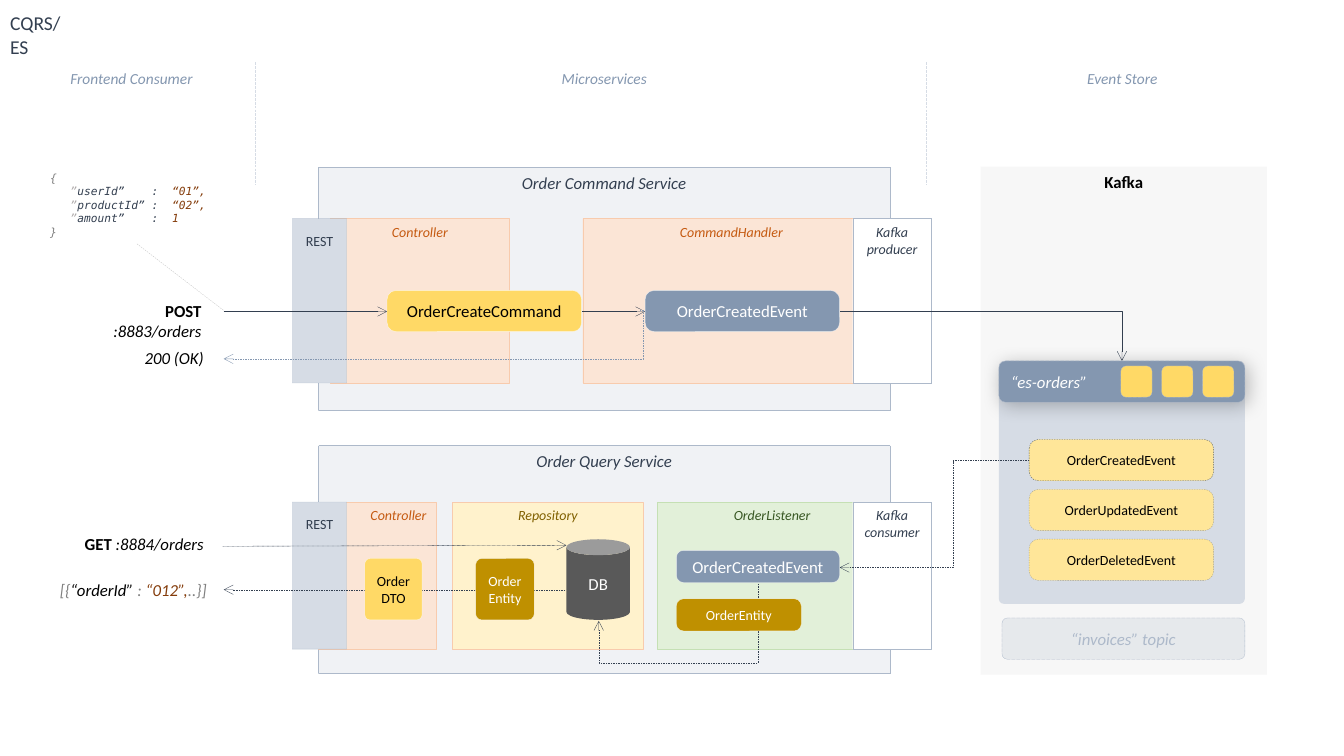
from dataclasses import dataclass
from typing import Any, Optional

from lxml import etree
from pptx import Presentation
from pptx import util as u
from pptx.dml import color as dml_color
from pptx.enum import dml, shapes, text
from pptx.oxml import ns

Pt = u.Pt
KIND, DASH = shapes.MSO_SHAPE, dml.MSO_LINE
LEFT, CENTER, RIGHT = text.PP_ALIGN.LEFT, text.PP_ALIGN.CENTER, text.PP_ALIGN.RIGHT
TOP, MIDDLE = text.MSO_ANCHOR.TOP, text.MSO_ANCHOR.MIDDLE

BLACK, WHITE, NAVY, SLATE, MIST, PALE = "000000", "FFFFFF", "333F50", "8497B0", "ADB9CA", "D6DCE5"
PEACH, SALMON, RUST, BROWN, GRAY = "FBE5D6", "F8CBAD", "C55A11", "843C0B", "808080"
YELLOW, CREAM, GOLD, SILVER = "FFD966", "FFE699", "BF9000", "AFABAB"


@dataclass
class Span:
    words: str
    color: str = BLACK
    size: float = 12
    italic: bool = False
    bold: bool = False
    font: str = "Calibri"


@dataclass
class Stroke:
    color: str
    dash: Any = None
    alpha: int = 100


Lines = list[list[Span]]
DOTTED, SOFT = Stroke(MIST, DASH.ROUND_DOT), Stroke(WHITE, DASH.SOLID, 78)


@dataclass
class Panel:
    place: tuple[float, float, float, float]
    fill: str
    stroke: Optional[Stroke] = None
    lines: Optional[Lines] = None
    kind: Any = KIND.RECTANGLE
    corner: Optional[float] = None
    alpha: int = 100
    anchor: Any = TOP
    align: Any = CENTER
    spacing: float = 1.0
    inset: float = 7.2
    shadow: bool = False


@dataclass
class Link:
    start: tuple[float, float]
    end: tuple[float, float]
    stroke: Stroke
    arrow: bool = True
    bend: Optional[str] = None
    adjust: Optional[int] = None
    turned: bool = False


@dataclass
class Label:
    place: tuple[float, float, float, float]
    lines: Lines
    align: Any = LEFT
    wrap: bool = True


def rgb(color: str) -> dml_color.RGBColor:
    return dml_color.RGBColor.from_string(color)


def apply(target: Any, **values: Any) -> None:
    for name, value in values.items():
        setattr(target, name, value)


def add(parent: Any, tag: str, **attributes: Any) -> Any:
    return etree.SubElement(parent, ns.qn(tag), {key: str(value) for key, value in attributes.items()})


def fade(properties: Any, where: str, alpha: int) -> None:
    """Make the colour found at the given XML location partly transparent."""
    if alpha < 100:
        add(properties.find("/".join(map(ns.qn, where.split("/")))), "a:alpha", val=alpha * 1000)


def draw_stroke(shape: Any, stroke: Stroke) -> None:
    shape.line.color.rgb = rgb(stroke.color)
    shape.line.width = Pt(0.25)
    if stroke.dash:
        shape.line.dash_style = stroke.dash
    fade(shape._element.spPr, "a:ln/a:solidFill/a:srgbClr", stroke.alpha)


def write(shape: Any, lines: Lines, align: Any, anchor: Any = TOP, wrap: bool = True,
          inset: float = 7.2, spacing: float = 1.0) -> None:
    frame = shape.text_frame
    apply(frame, word_wrap=wrap, vertical_anchor=anchor, margin_left=Pt(inset), margin_right=Pt(inset),
          margin_top=Pt(3.6), margin_bottom=Pt(3.6))
    for index, spans in enumerate(lines):
        para = frame.add_paragraph() if index else frame.paragraphs[0]
        apply(para, alignment=align, line_spacing=spacing)
        for span in spans:
            run = para.add_run()
            run.text = span.words
            apply(run.font, name=span.font, size=Pt(span.size), italic=span.italic, bold=span.bold)
            run.font.color.rgb = rgb(span.color)


def draw_panel(page: Any, panel: Panel) -> None:
    shape = page.shapes.add_shape(panel.kind, *map(Pt, panel.place))
    shape.shadow.inherit = False
    if panel.corner is not None:
        shape.adjustments[0] = panel.corner
    shape.fill.solid()
    shape.fill.fore_color.rgb = rgb(panel.fill)
    properties = shape._element.spPr
    fade(properties, "a:solidFill/a:srgbClr", panel.alpha)
    if panel.stroke:
        draw_stroke(shape, panel.stroke)
    else:
        shape.line.fill.background()
    if panel.shadow:
        outer = add(properties.find(ns.qn("a:effectLst")), "a:outerShdw", blurRad=Pt(14), dist=Pt(3),
                    dir=45 * 60000, rotWithShape=0)
        add(add(outer, "a:srgbClr", val=BLACK), "a:alpha", val=25000)
    if panel.lines:
        write(shape, panel.lines, panel.align, panel.anchor, True, panel.inset, panel.spacing)


def draw_link(page: Any, link: Link) -> None:
    """Draw a connector; a turned one leaves and arrives vertically."""
    (x1, y1), (x2, y2) = link.start, link.end
    if link.turned:
        cx, cy, dx, dy = (x1 + x2) / 2, (y1 + y2) / 2, abs(y2 - y1) / 2, abs(x2 - x1) / 2
        x1, y1, x2, y2 = cx - dx, cy - dy, cx + dx, cy + dy
    kind = shapes.MSO_CONNECTOR.ELBOW if link.bend else shapes.MSO_CONNECTOR.STRAIGHT
    line = page.shapes.add_connector(kind, *map(Pt, (x1, y1, x2, y2)))
    draw_stroke(line, link.stroke)
    properties = line._element.spPr
    if link.turned:
        properties.find(ns.qn("a:xfrm")).set("rot", str(90 * 60000))
    if link.bend:
        geometry = properties.find(ns.qn("a:prstGeom"))
        geometry.set("prst", link.bend)
        if link.adjust is not None:
            add(geometry.find(ns.qn("a:avLst")), "a:gd", name="adj1", fmla=f"val {link.adjust}")
    if link.arrow:
        add(properties.find(ns.qn("a:ln")), "a:tailEnd", type="arrow")
    add(properties, "a:effectLst")


def draw_label(page: Any, label: Label) -> None:
    box = page.shapes.add_textbox(*map(Pt, label.place))
    write(box, label.lines, label.align, wrap=label.wrap)
    box.text_frame.auto_size = text.MSO_AUTO_SIZE.SHAPE_TO_FIT_TEXT


def plain(words: str, color: str, size: float = 10, italic: bool = False, bold: bool = False) -> Lines:
    return [[Span(line, color, size, italic, bold)] for line in words.split("\n")]


def area(place: tuple, fill: str, edge: str, name: str, color: str, align: Any = CENTER) -> Panel:
    return Panel(place, fill, Stroke(edge), plain(name, color, italic=True), align=align)


def chip(place: tuple, fill: str, name: str, color: str, size: float = 10, corner: float = 0.221,
         stroke: Stroke = SOFT, inset: float = 7.2) -> Panel:
    return Panel(place, fill, stroke, plain(name, color, size), KIND.ROUNDED_RECTANGLE, corner,
                 anchor=MIDDLE, inset=inset)


def code(*parts: tuple[str, str]) -> list[Span]:
    return [Span(words, color, 8, True, font="DejaVu Sans Mono") for words, color in parts]


UPPER, LOWER = (156.2, 117.4), (358.6, 105.1)
panels = [Panel((700.5, 119, 204.5, 363), "EDEDED", None, plain("Kafka", BLACK, 12, bold=True), alpha=43)]
for name, top, height in (("Query", 318.2, 162.7), ("Command", 119.5, 173.5)):
    panels.append(Panel((227.5, top, 408.2, height), PALE, DOTTED,
                        plain(f"Order {name} Service", NAVY, 12, True), alpha=35))
panels += [
    Panel((713.5, 257.8, 175.7, 173.5), PALE, kind=KIND.ROUNDED_RECTANGLE, corner=0.021),
    area((323.3, LOWER[0], 136.1, LOWER[1]), "FFF2CC", SALMON, "Repository", "806000"),
    area((416.2, UPPER[0], 212.4, UPPER[1]), PEACH, SALMON, "CommandHandler", RUST),
    area((236.2, UPPER[0], 127.4, UPPER[1]), PEACH, SALMON, "Controller", RUST),
    area((227.5, LOWER[0], 84.2, LOWER[1]), PEACH, SALMON, "Controller", RUST, RIGHT),
    area((469.4, LOWER[0], 164.2, LOWER[1]), "E2F0D9", "C5E0B4", "OrderListener", "385723"),
]
for (top, height), role in ((UPPER, "producer"), (LOWER, "consumer")):
    panels += [
        Panel((208.8, top, 38.9, height), PALE, Stroke(SLATE, DASH.SOLID, 42), plain("REST", NAVY),
              spacing=1.5, inset=5.8),
        Panel((609.1, top, 56.2, height), WHITE, DOTTED, plain(f"Kafka\n{role}", NAVY, italic=True)),
    ]

FLOW, REPLY = Stroke(NAVY, DASH.ROUND_DOT), Stroke(NAVY, DASH.DASH)
links = [
    Link((97.9, 174.2), (159.8, 221.8), Stroke(GRAY, DASH.DASH, 45), arrow=False),
    Link((159.8, 222.5), (276.5, 222.5), FLOW),
    Link((415.4, 222.5), (460.8, 222.5), FLOW),
    Link((599.8, 222.5), (801.4, 257.8), FLOW, bend="bentConnector2"),
    Link((159.1, 390.2), (404.6, 389.5), FLOW),
    Link((403.9, 421.2), (159.8, 421.2), REPLY),
    Link((457.2, 221.8), (159.8, 256.3), Stroke(SLATE, DASH.DASH), bend="bentConnector3", adjust=-700),
    Link((735.1, 329), (599.8, 405.4), REPLY, bend="bentConnector3", adjust=40100),
    Link((541.4, 416.9), (427.7, 443.5), REPLY, bend="bentConnector3", adjust=212600, turned=True),
]
links += [Link((x, 44.6), (x, 131.8), Stroke(PALE, DASH.LONG_DASH), arrow=False) for x in (182.2, 661.7)]

boxes = [
    Panel((404.6, 385.2, 45.4, 57.6), "595959", None, plain("DB", WHITE, 12), KIND.CAN, anchor=MIDDLE),
    chip((276.5, 207.4, 139, 29.5), YELLOW, "OrderCreateCommand", BLACK, 12),
    chip((460.8, 207.4, 139, 29.5), SLATE, "OrderCreatedEvent", WHITE, 12),
    chip((260.6, 398.9, 41, 43.9), YELLOW, "Order\nDTO", BLACK, corner=0.093, inset=2.9),
    chip((483.1, 393.1, 116.6, 23), SLATE, "OrderCreatedEvent", WHITE, 12),
    chip((483.1, 427.7, 89.3, 23), GOLD, "OrderEntity", WHITE),
    chip((339.8, 398.9, 41.8, 43.9), GOLD, "Order\nEntity", WHITE, corner=0.105),
    Panel((715.7, 441.4, 173.5, 29.5), SLATE, DOTTED, plain("“invoices” topic", MIST, 12, True),
          KIND.ROUNDED_RECTANGLE, 0.134, alpha=14, anchor=MIDDLE),
    Panel((713.5, 257.8, 175.7, 29.5), SLATE, DOTTED, plain("“es-orders”", WHITE, 12, True),
          KIND.ROUNDED_RECTANGLE, anchor=MIDDLE, align=LEFT, shadow=True),
]
for row, (event, alpha) in enumerate((("Created", 78), ("Updated", 38), ("Deleted", 38))):
    boxes.append(chip((735.1, 313.9 + 35.6 * row, 131.8, 29.5), CREAM, f"Order{event}Event", BLACK,
                      stroke=Stroke(NAVY, DASH.DASH, alpha)))
    boxes.append(Panel((800.6 + 29.2 * row, 261.4, 22.3, 22.3), YELLOW, DOTTED, kind=KIND.ROUNDED_RECTANGLE))

fields = (("userId”    :  ", "“01”,"), ("productId” :  ", "“02”,"), ("amount”    :  ", "1"))
body = [code(("   ”", SILVER), (key, NAVY), (value, BROWN)) for key, value in fields]
answer = (("[{", GRAY), ("“orderId” ", BLACK), (": ", GRAY), ("“012”,", BROWN), ("..}]", GRAY))
labels = [
    Label((50, 211, 101, 21.6), [[Span("POST", bold=True), Span(" :8883/orders", italic=True)]], RIGHT),
    Label((95.8, 244.8, 56.9, 21.6), plain("200 (OK)", BLACK, 12, True), RIGHT, False),
    Label((53.3, 378, 99.4, 21.6), [[Span("GET", bold=True), Span(" :8884/orders", italic=True)]], RIGHT, False),
    Label((15.8, 410.4, 139, 21.6), [[Span(words, color, italic=True) for words, color in answer]], RIGHT),
    Label((28.8, 118.8, 139, 55.4), [code(("{", GRAY)), *body, code(("}", GRAY))]),
]
for left, heading in ((20.9, "Frontend Consumer"), (358.6, "Microservices"), (728.6, "Event Store")):
    labels.append(Label((left, 46.1, 146.2, 20.9), plain(heading, SLATE, 11, True), CENTER))


def main() -> None:
    deck = Presentation()
    apply(deck, slide_width=Pt(960), slide_height=Pt(540))
    page = deck.slides.add_slide(deck.slide_layouts[5])
    title = page.shapes.title
    apply(title, left=Pt(0), top=Pt(4.3), width=Pt(63.4), height=Pt(24.5))
    write(title, plain("CQRS/ES", NAVY, 14), LEFT, wrap=False)
    title.text_frame.auto_size = text.MSO_AUTO_SIZE.SHAPE_TO_FIT_TEXT
    for draw, items in ((draw_panel, panels), (draw_link, links), (draw_panel, boxes), (draw_label, labels)):
        for item in items:
            draw(page, item)
    deck.save("out.pptx")


if __name__ == "__main__":
    main()
